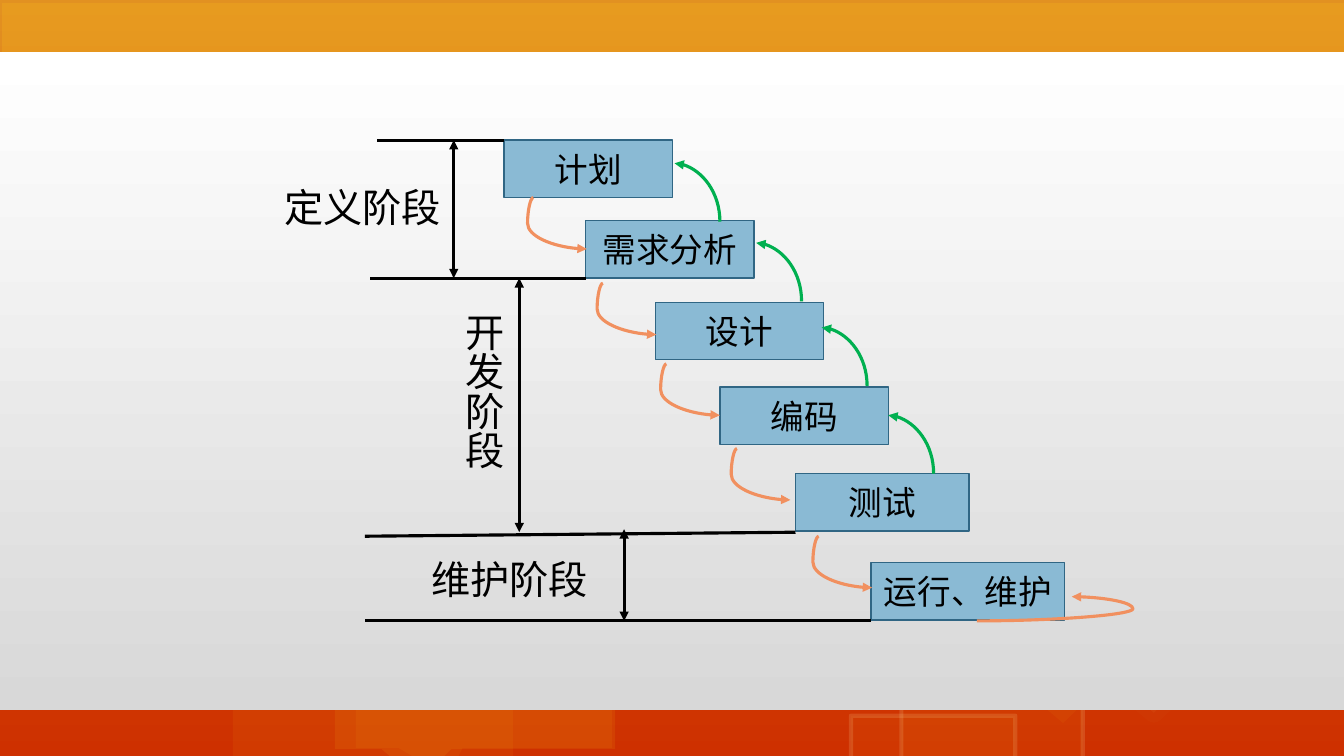
from typing import NamedTuple, Optional

from lxml import etree
from pptx import Presentation
from pptx.dml.color import RGBColor
from pptx.enum.shapes import MSO_CONNECTOR, MSO_SHAPE
from pptx.enum.text import MSO_ANCHOR, MSO_AUTO_SIZE, PP_ALIGN
from pptx.oxml.ns import qn
from pptx.util import Inches, Pt

STRAIGHT, CURVE = MSO_CONNECTOR.STRAIGHT, MSO_CONNECTOR.CURVE
RECTANGLE, CALLOUT = MSO_SHAPE.RECTANGLE, MSO_SHAPE.RECTANGULAR_CALLOUT
MIDDLE, TOP = MSO_ANCHOR.MIDDLE, MSO_ANCHOR.TOP
CENTER = PP_ALIGN.CENTER
GROW = MSO_AUTO_SIZE.SHAPE_TO_FIT_TEXT

FONT = "Noto Sans CJK SC"
BLACK = RGBColor(0x00, 0x00, 0x00)
WHITE = RGBColor(0xFF, 0xFF, 0xFF)
GREY = RGBColor(0xD8, 0xD8, 0xD8)
AMBER = RGBColor(0xE2, 0x91, 0x21)
RED = RGBColor(0xCE, 0x30, 0x00)
YELLOW = RGBColor(0xFD, 0xC5, 0x1B)
PALE_YELLOW = RGBColor(0xFF, 0xE1, 0x81)
CREAM = RGBColor(0xFE, 0xEA, 0xAC)
BLUE = RGBColor(0x8A, 0xBA, 0xD4)
DARK_BLUE = RGBColor(0x30, 0x66, 0x84)
ORANGE = RGBColor(0xF1, 0x90, 0x5F)
GREEN = RGBColor(0x00, 0xB0, 0x50)


class Box(NamedTuple):
    left: float
    top: float
    width: float
    height: float


class Point(NamedTuple):
    x: float
    y: float


class Bubble(NamedTuple):
    box: Box
    opacity: int
    fill: RGBColor = YELLOW
    tail: tuple[float, float] = (-0.2, 0.65)
    edge: Optional[RGBColor] = None
    edge_opacity: int = 14
    edge_width: float = 3


class Stage(NamedTuple):
    name: str
    left: float
    top: float
    width: float = 1.67


class Phase(NamedTuple):
    name: str
    box: Box
    arrow_x: float
    arrow_top: float
    arrow_bottom: float
    vertical: bool = False


STAGE_HEIGHT = 0.57
BUBBLES = [
    Bubble(Box(3.53, 5.33, 2.54, 2.09), 7, tail=(-0.14, 0.64)),
    Bubble(Box(3.32, 5.34, 2.78, 2.09), 10),
    Bubble(Box(0.02, 0.03, 13.39, 2.09), 20, tail=(-0.2, 0.45)),
    Bubble(Box(9.71, 4.77, 2.78, 2.09), 5),
    Bubble(Box(8.44, 7.1, 1.63, 0.49), 5, edge=CREAM),
    Bubble(Box(8.94, 7.01, 1.8, 0.57), 5, edge=CREAM),
    Bubble(Box(11.12, 6.14, 1.08, 0.81), 5, PALE_YELLOW,
           edge=PALE_YELLOW, edge_opacity=1, edge_width=14),
    Bubble(Box(2.31, 5.97, 2.78, 1.61), 7),
]
STAGES = [
    Stage("计划", 5, 1.39),
    Stage("需求分析", 5.81, 2.19),
    Stage("设计", 6.5, 3),
    Stage("编码", 7.14, 3.84),
    Stage("测试", 7.89, 4.7, 1.72),
    Stage("运行、维护", 8.64, 5.58, 1.92),
]
FORWARD_STARTS = [Point(5.29, 1.96), Point(5.98, 2.81), Point(6.61, 3.61),
                  Point(7.31, 4.45), Point(8.12, 5.32)]
BACK_STARTS = [Point(9.26, 4.7), Point(8.6, 3.83), Point(7.95, 2.99), Point(7.14, 2.2)]
FORWARD_STEP = Point(0.53, 0.51)
BACK_STEP = Point(0.45, 0.58)
PHASE_BORDERS = [
    (Point(5, 1.39), Point(3.74, 1.39)),
    (Point(5.81, 2.76), Point(3.67, 2.76)),
    (Point(7.89, 5.28), Point(3.62, 5.32)),
    (Point(8.64, 6.16), Point(3.62, 6.16)),
]
PHASES = [
    Phase("开发阶段", Box(4.41, 3.01, 0.67, 1.91), 5.15, 2.76, 5.28, vertical=True),
    Phase("维护阶段", Box(3.99, 5.46, 2.13, 0.57), 6.19, 5.25, 6.16),
    Phase("定义阶段", Box(2.53, 1.77, 2.13, 0.57), 4.5, 1.39, 2.76),
]


def set_gradient(fill, start: RGBColor, end: RGBColor) -> None:
    fill.gradient()
    fill.gradient_angle = 270
    for stop, color, position in zip(fill.gradient_stops, (start, end), (0, 1)):
        stop.color.rgb = color
        stop.position = position


def set_opacity(parent, percent: int) -> None:
    color = next(parent.iter(qn("a:srgbClr")))
    etree.SubElement(color, qn("a:alpha"), val=str(percent * 1000))


def add_box(slide, preset, box: Box):
    shape = slide.shapes.add_shape(preset, *map(Inches, box))
    shape.shadow.inherit = False
    shape.line.fill.background()
    return shape


def add_bubble(slide, bubble: Bubble) -> None:
    shape = add_box(slide, CALLOUT, bubble.box)
    shape.adjustments[0], shape.adjustments[1] = bubble.tail
    shape.fill.solid()
    shape.fill.fore_color.rgb = bubble.fill
    set_opacity(shape.fill._xPr.find(qn("a:solidFill")), bubble.opacity)
    if bubble.edge is not None:
        shape.line.color.rgb = bubble.edge
        shape.line.width = Pt(bubble.edge_width)
        set_opacity(shape.line._get_or_add_ln(), bubble.edge_opacity)


def write_text(frame, text: str, *, size: int, color: RGBColor = BLACK,
               anchor=TOP, align=CENTER) -> None:
    frame.word_wrap = True
    frame.vertical_anchor = anchor
    paragraph = frame.paragraphs[0]
    paragraph.alignment = align
    run = paragraph.add_run()
    run.text = text
    run.font.size = Pt(size)
    run.font.name = FONT
    run.font.color.rgb = color
    etree.SubElement(run.font._element, qn("a:ea"), typeface=FONT)


def add_line(slide, start: Point, end: Point, *, kind=STRAIGHT,
             color: RGBColor = BLACK, heads: tuple[str, ...] = ()):
    line = slide.shapes.add_connector(kind, *map(Inches, (*start, *end)))
    line.line.color.rgb = color
    line.line.width = Pt(2.25)
    for head in heads:
        etree.SubElement(line.line._get_or_add_ln(), qn(head), type="triangle")
    etree.SubElement(line._element.spPr, qn("a:effectLst"))
    return line


def add_bent_arrow(slide, start: Point, end: Point, bend: int) -> None:
    arrow = add_line(slide, start, end, kind=CURVE, color=ORANGE, heads=("a:tailEnd",))
    guides = arrow._element.spPr.find(qn("a:prstGeom")).find(qn("a:avLst"))
    etree.SubElement(guides, qn("a:gd"), name="adj1", fmla=f"val {bend}")


def add_back_arrow(slide, start: Point) -> None:
    # A quarter curve is laid out flat around its centre, then turned by 270 degrees
    center = Point(start.x - BACK_STEP.x / 2, start.y - BACK_STEP.y / 2)
    half_width, half_height = BACK_STEP.y / 2, BACK_STEP.x / 2
    arrow = add_line(slide, Point(center.x - half_width, center.y + half_height),
                     Point(center.x + half_width, center.y - half_height),
                     kind=CURVE, color=GREEN, heads=("a:tailEnd",))
    properties = arrow._element.spPr
    properties.find(qn("a:xfrm")).set("rot", str(270 * 60000))
    properties.find(qn("a:prstGeom")).set("prst", "curvedConnector2")


def add_phase_label(slide, phase: Phase) -> None:
    frame = slide.shapes.add_textbox(*map(Inches, phase.box)).text_frame
    write_text(frame, phase.name, size=28)
    frame.auto_size = GROW
    if phase.vertical:
        frame._txBody.bodyPr.set("vert", "eaVert")


def main() -> None:
    deck = Presentation()
    deck.slide_width, deck.slide_height = Inches(13.33), Inches(7.5)
    slide = deck.slides.add_slide(deck.slide_layouts[6])

    # Backdrop: warm gradient, faint speech bubbles and the light panel
    set_gradient(slide.background.fill, AMBER, RED)
    for bubble in BUBBLES:
        add_bubble(slide, bubble)
    panel = add_box(slide, RECTANGLE, Box(0, 0.52, 13.33, 6.52))
    set_gradient(panel.fill, WHITE, GREY)

    # Waterfall stages
    for stage in STAGES:
        step = add_box(slide, RECTANGLE, Box(stage.left, stage.top, stage.width, STAGE_HEIGHT))
        step.fill.solid()
        step.fill.fore_color.rgb = BLUE
        step.line.color.rgb = DARK_BLUE
        step.line.width = Pt(1)
        write_text(step.text_frame, stage.name, size=24, anchor=MIDDLE)

    # Arrows to the next stage, the maintenance loop, and arrows back
    for start in FORWARD_STARTS:
        end = Point(start.x + FORWARD_STEP.x, start.y + FORWARD_STEP.y)
        add_bent_arrow(slide, start, end, -10900)
    add_bent_arrow(slide, Point(9.69, 6.16), Point(10.63, 5.92), 164600)
    for start in BACK_STARTS:
        add_back_arrow(slide, start)

    # Phase borders, spans and labels
    for start, end in PHASE_BORDERS:
        add_line(slide, start, end)
    for phase in PHASES:
        add_line(slide, Point(phase.arrow_x, phase.arrow_top),
                 Point(phase.arrow_x, phase.arrow_bottom), heads=("a:headEnd", "a:tailEnd"))
        add_phase_label(slide, phase)

    deck.save("out.pptx")


if __name__ == "__main__":
    main()
